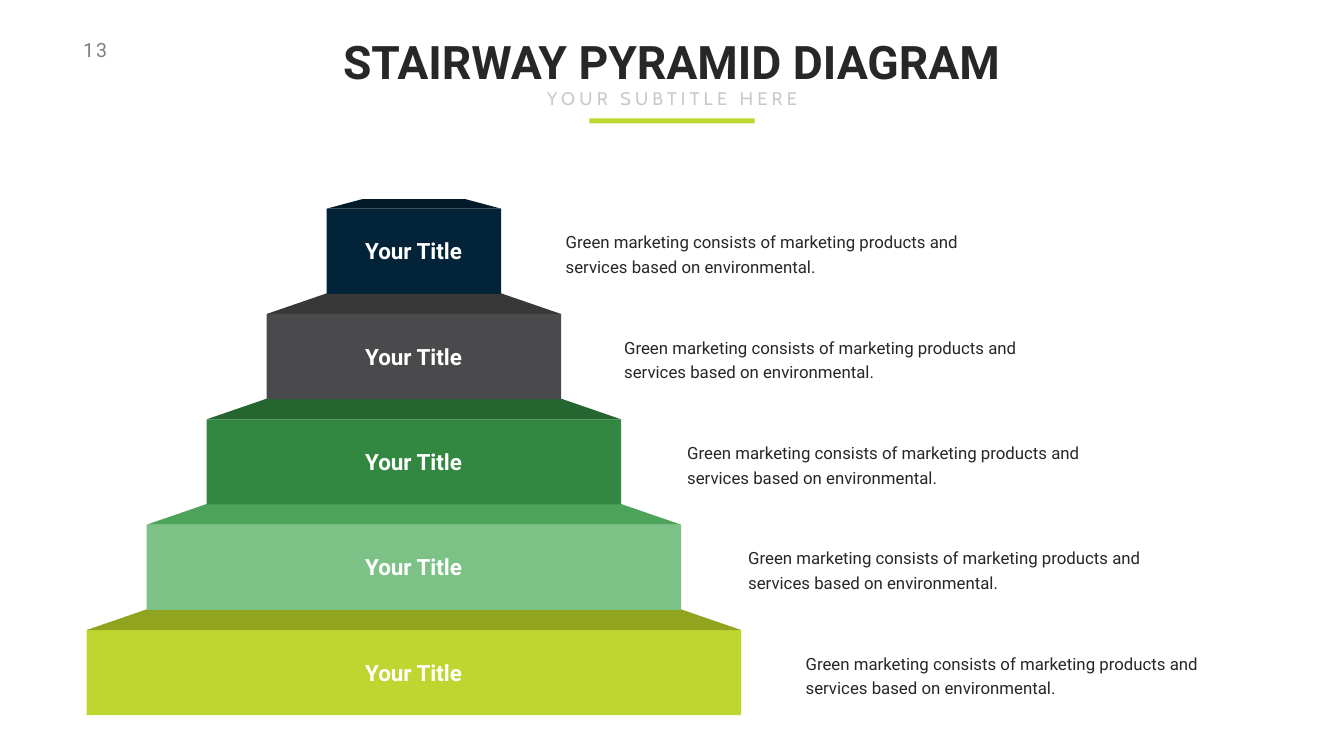
"""Build the stairway pyramid diagram slide."""

from dataclasses import dataclass

from pptx import Presentation
from pptx.dml.color import RGBColor
from pptx.enum.shapes import MSO_SHAPE
from pptx.enum.text import MSO_ANCHOR, MSO_AUTO_SIZE, PP_ALIGN
from pptx.shapes.base import BaseShape
from pptx.slide import Slide
from pptx.util import Inches, Pt

DARK = RGBColor(0x27, 0x27, 0x27)
GRAY = RGBColor(0x80, 0x80, 0x80)
LIGHT_GRAY = RGBColor(0xC9, 0xC9, 0xC9)
WHITE = RGBColor(0xFF, 0xFF, 0xFF)
LIME = RGBColor(0xBE, 0xD6, 0x2F)
DARK_LIME = RGBColor(0x91, 0xA4, 0x20)
MINT = RGBColor(0x7C, 0xC2, 0x87)
DARK_MINT = RGBColor(0x4C, 0xA3, 0x59)
GREEN = RGBColor(0x32, 0x88, 0x40)
DARK_GREEN = RGBColor(0x25, 0x66, 0x30)
CHARCOAL = RGBColor(0x4A, 0x4A, 0x4C)
DARK_CHARCOAL = RGBColor(0x38, 0x38, 0x39)
NAVY = RGBColor(0x02, 0x23, 0x38)
DARK_NAVY = RGBColor(0x02, 0x1A, 0x2A)

CENTER = 8.21
FIRST_TOP = 4.14
STEP_PITCH = 2.09
STEP_HEIGHT = 1.69
FIRST_WIDTH = 3.46
WIDTH_GROWTH = 2.38
LABEL = "Your Title"
DESCRIPTION = "Green marketing consists of marketing products and services based on environmental."


@dataclass(frozen=True)
class Step:
    front: RGBColor
    tread: RGBColor
    description_left: float
    tread_height: float = 0.41
    tread_inset: float = 1.19


@dataclass(frozen=True)
class TextStyle:
    size: float
    color: RGBColor
    font: str = "Roboto"
    bold: bool = False
    alignment: PP_ALIGN = PP_ALIGN.CENTER
    spacing: float = 0


STEPS = (
    Step(NAVY, DARK_NAVY, 10.98, 0.19, 0.71),
    Step(CHARCOAL, DARK_CHARCOAL, 12.14),
    Step(GREEN, DARK_GREEN, 13.39),
    Step(MINT, DARK_MINT, 14.6),
    Step(LIME, DARK_LIME, 15.74),
)
TITLE_STYLE = TextStyle(66, DARK, bold=True)
SUBTITLE_STYLE = TextStyle(26, LIGHT_GRAY, font="Cabin", spacing=6)
NUMBER_STYLE = TextStyle(28, GRAY, alignment=PP_ALIGN.LEFT, spacing=3)
LABEL_STYLE = TextStyle(32, WHITE, bold=True)
DESCRIPTION_STYLE = TextStyle(24, DARK, alignment=PP_ALIGN.LEFT)


def write_text(shape: BaseShape, text: str, style: TextStyle) -> None:
    """Fill a shape with one formatted, unwrapped paragraph."""
    frame = shape.text_frame
    frame.text = text
    frame.word_wrap = False
    frame.auto_size = MSO_AUTO_SIZE.NONE
    frame.vertical_anchor = MSO_ANCHOR.TOP
    paragraph = frame.paragraphs[0]
    paragraph.alignment = style.alignment
    paragraph.font.name = style.font
    paragraph.font.size = Pt(style.size)
    paragraph.font.bold = style.bold
    paragraph.font.color.rgb = style.color
    if style.spacing:
        properties = paragraph.runs[0]._r.get_or_add_rPr()
        properties.set("spc", str(round(style.spacing * 100)))


def add_text(slide: Slide, left: float, top: float, width: float, height: float,
             text: str, style: TextStyle) -> BaseShape:
    """Add a text box holding one paragraph."""
    box = slide.shapes.add_textbox(Inches(left), Inches(top), Inches(width), Inches(height))
    write_text(box, text, style)
    return box


def paint(shape: BaseShape, color: RGBColor) -> None:
    """Give a shape a flat fill without outline or shadow."""
    shape.shadow.inherit = False
    shape.fill.solid()
    shape.fill.fore_color.rgb = color
    shape.line.fill.background()


def add_block(slide: Slide, left: float, top: float, width: float, height: float,
              color: RGBColor) -> None:
    """Add a plain rectangle."""
    block = slide.shapes.add_shape(
        MSO_SHAPE.RECTANGLE, Inches(left), Inches(top), Inches(width), Inches(height))
    paint(block, color)


def add_step(slide: Slide, step: Step, left: float, top: float, width: float) -> None:
    """Add the front face of a step and the tread above it."""
    add_block(slide, left, top, width, STEP_HEIGHT, step.front)
    right = left + width
    back = top - step.tread_height
    corners = (
        (right - step.tread_inset, back),
        (left + step.tread_inset, back),
        (left, top),
        (right, top),
    )
    points = [(Inches(x), Inches(y)) for x, y in corners]
    builder = slide.shapes.build_freeform(*points[0])
    builder.add_line_segments(points[1:], close=True)
    paint(builder.convert_to_shape(), step.tread)


def add_step_text(slide: Slide, step: Step, top: float) -> None:
    """Add the label and the description of a step."""
    label = add_text(slide, CENTER - 1.23, top + 0.52, 2.45, 0.64, LABEL, LABEL_STYLE)
    label.text_frame.vertical_anchor = MSO_ANCHOR.MIDDLE
    description = add_text(
        slide, step.description_left, top + 0.26, 9.26, 1.18, DESCRIPTION, DESCRIPTION_STYLE)
    frame = description.text_frame
    frame.word_wrap = True
    frame.margin_left = frame.margin_right = Inches(0.24)
    frame.margin_top = frame.margin_bottom = Inches(0.12)
    frame.paragraphs[0].line_spacing = Pt(35)


def add_header(slide: Slide) -> None:
    """Place the number, title, subtitle and accent bar."""
    add_text(slide, 1.55, 0.71, 0.84, 0.57, "13", NUMBER_STYLE)
    title = slide.shapes.title
    title.left, title.top = Inches(5.63), Inches(0.61)
    title.width, title.height = Inches(15.39), Inches(1.21)
    write_text(title, "STAIRWAY PYRAMID DIAGRAM", TITLE_STYLE)
    add_block(slide, 11.69, 2.35, 3.28, 0.1, LIME)
    add_text(slide, 10.41, 1.69, 5.85, 0.54, "YOUR SUBTITLE HERE", SUBTITLE_STYLE)


def main() -> None:
    """Create and save the presentation."""
    presentation = Presentation()
    presentation.slide_width = Inches(26.66)
    presentation.slide_height = Inches(15)
    slide = presentation.slides.add_slide(presentation.slide_layouts[5])
    add_header(slide)
    for level, step in reversed(list(enumerate(STEPS))):
        top = FIRST_TOP + level * STEP_PITCH
        width = FIRST_WIDTH + level * WIDTH_GROWTH
        add_step(slide, step, CENTER - width / 2, top, width)
        add_step_text(slide, step, top)
    presentation.save("out.pptx")


if __name__ == "__main__":
    main()
